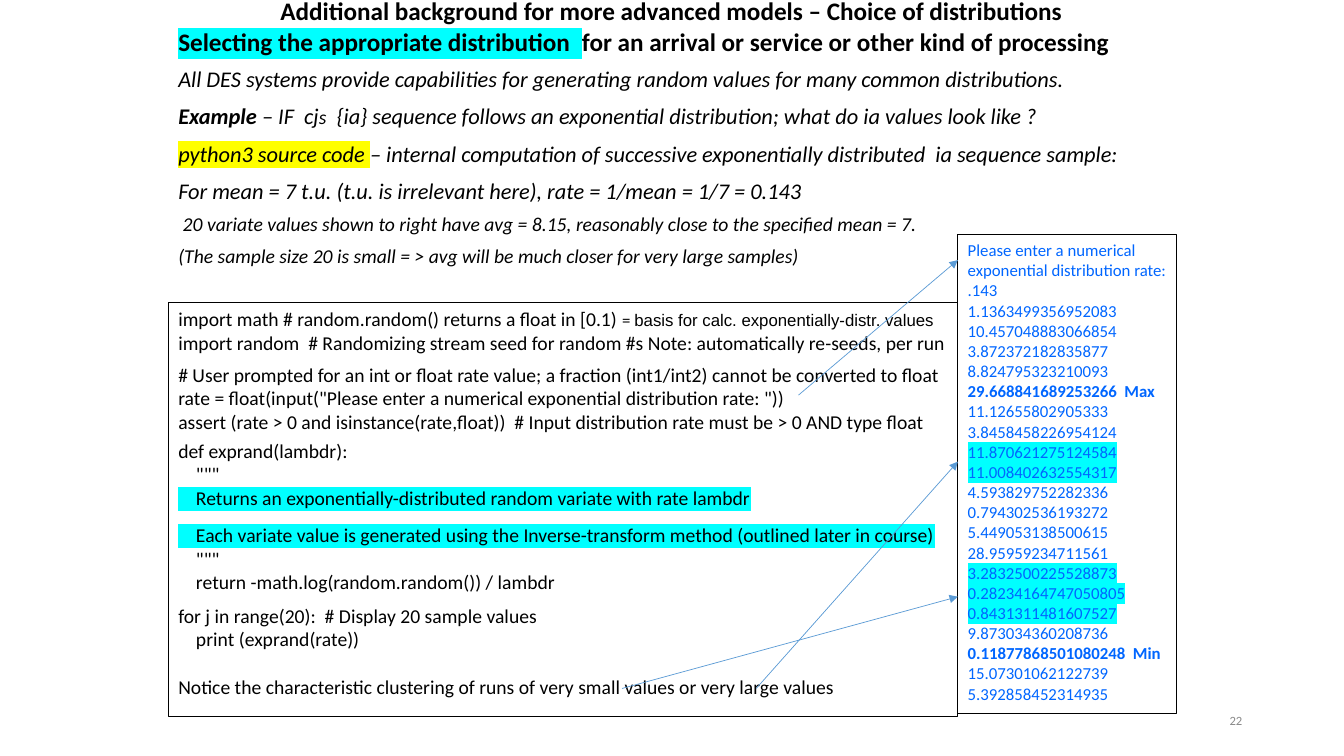
from lxml import etree
from pptx import Presentation
from pptx.dml.color import RGBColor
from pptx.enum.shapes import MSO_CONNECTOR, MSO_SHAPE
from pptx.enum.text import MSO_ANCHOR, PP_ALIGN
from pptx.oxml.ns import qn
from pptx.util import Inches, Pt

LEFT, CENTER, RIGHT = PP_ALIGN.LEFT, PP_ALIGN.CENTER, PP_ALIGN.RIGHT
TOP, MIDDLE = MSO_ANCHOR.TOP, MSO_ANCHOR.MIDDLE
RECTANGLE, STRAIGHT = MSO_SHAPE.RECTANGLE, MSO_CONNECTOR.STRAIGHT

COLORS = {
    "black": "000000",
    "output": "0066FF",
    "arrow": "5B9BD5",
    "number": "898989",
    "cyan": "00FFFF",
    "yellow": "FFFF00",
}


def rgb(name):
    return RGBColor.from_string(COLORS[name])


def add_span(para, text, size=14, font="Calibri", color="black",
             bold=False, italic=False, highlight=None):
    """Append one formatted run to a paragraph."""
    span = para.add_run()
    span.text = text
    span.font.size, span.font.name = Pt(size), font
    span.font.bold, span.font.italic = bold, italic
    span.font.color.rgb = rgb(color)
    if highlight:
        mark = etree.Element(qn("a:highlight"))
        etree.SubElement(mark, qn("a:srgbClr"), val=COLORS[highlight])
        span.font.fill._xPr.find(qn("a:solidFill")).addnext(mark)


def line(*spans, before=0, spacing=1.0, **style):
    """Describe one paragraph; a span is a text or a (text, format) pair."""
    pairs = [(span, {}) if isinstance(span, str) else span for span in spans]
    return {"spans": [(text, {**style, **own}) for text, own in pairs],
            "before": before, "spacing": spacing}


class SlideBuilder:
    def __init__(self, slide):
        self.slide = slide

    def fill_text(self, box, lines, align=LEFT, anchor=TOP, inset=0.05, **style):
        frame = box.text_frame
        frame.word_wrap = True
        frame.vertical_anchor = anchor
        frame.margin_top = frame.margin_bottom = Inches(inset)
        for index, item in enumerate(lines):
            para = frame.add_paragraph() if index else frame.paragraphs[0]
            para.alignment = align
            para.line_spacing = item["spacing"]
            para.space_before = Pt(item["before"])
            for text, own in item["spans"]:
                add_span(para, text, **{**style, **own})

    def text(self, place, lines, **style):
        box = self.slide.shapes.add_textbox(*map(Inches, place))
        self.fill_text(box, lines, **style)

    def frame(self, place, lines, **style):
        box = self.slide.shapes.add_shape(RECTANGLE, *map(Inches, place))
        box.shadow.inherit = False
        box.fill.background()
        box.line.color.rgb = rgb("black")
        box.line.width = Pt(0.75)
        self.fill_text(box, lines, **style)

    def arrow(self, start, end):
        arrow = self.slide.shapes.add_connector(
            STRAIGHT, *map(Inches, (*start, *end)))
        arrow.line.color.rgb = rgb("arrow")
        arrow.line.width = Pt(0.5)
        etree.SubElement(arrow.line._get_or_add_ln(), qn("a:tailEnd"), type="triangle")
        etree.SubElement(arrow._element.spPr, qn("a:effectLst"))


INTRO = [
    line(("Selecting the appropriate distribution  ", {"highlight": "cyan"}),
         "for an arrival or service or other kind of processing",
         spacing=0.9, size=18, bold=True, italic=False),
    line("All DES systems provide capabilities for generating random values "
         "for many common distributions.", before=7.5, spacing=0.9),
    line(("Example", {"bold": True}), " – IF  cj", ("s", {"size": 14}),
         "  {ia} sequence follows an exponential distribution; "
         "what do ia values look like ?", before=7.5),
    line(("python3 source code ", {"highlight": "yellow"}),
         "– internal computation of successive exponentially distributed  "
         "ia sequence sample:", before=7.5),
    line("For mean = 7 t.u. (t.u. is irrelevant here), rate = 1/mean = 1/7 = 0.143",
         before=7.5),
    line(" 20 variate values shown to right have avg = 8.15, "
         "reasonably close to the specified mean = 7.",
         before=7.5, spacing=0.9, size=14),
    line("(The sample size 20 is small = > avg will be much closer "
         "for very large samples)", before=7.5, spacing=0.9, size=14),
]

CODE = [
    line("import math # random.random() returns a float in [0.1) ",
         ("= ", {"size": 12}),
         ("basis for calc. exponentially-distr. values",
          {"size": 12, "font": "Arial"})),
    line("import random  # Randomizing stream seed for random #s "
         "Note: automatically re-seeds, per run"),
    line("# User prompted for an int or float rate value; "
         "a fraction (int1/int2) cannot be converted to float", before=6),
    line('rate = float(input("Please enter a numerical exponential '
         'distribution rate: "))'),
    line("assert (rate > 0 and isinstance(rate,float))  "
         "# Input distribution rate must be > 0 AND type float"),
    line("def exprand(lambdr):", before=3.7),
    line('    """'),
    line("    Returns an exponentially-distributed random variate with rate lambdr",
         highlight="cyan"),
    line("    Each variate value is generated using the Inverse-transform method "
         "(outlined later in course)", before=9.8, highlight="cyan"),
    line('    """'),
    line("    return -math.log(random.random()) / lambdr"),
    line("for j in range(20):  # Display 20 sample values", before=7.3),
    line("    print (exprand(rate))"),
    line("Notice the characteristic clustering of runs of very small values "
         "or very large values", before=17.1),
]

CLUSTER, EXTREME = {"highlight": "cyan"}, {"bold": True}
SAMPLES = [
    ("1.1363499356952083", {}),
    ("10.457048883066854", {}),
    ("3.872372182835877", {}),
    ("8.824795323210093", {}),
    ("29.668841689253266  Max", EXTREME),
    ("11.12655802905333", {}),
    ("3.8458458226954124", {}),
    ("11.870621275124584", CLUSTER),
    ("11.008402632554317", CLUSTER),
    ("4.593829752282336", {}),
    ("0.794302536193272", {}),
    ("5.449053138500615", {}),
    ("28.95959234711561", {}),
    ("3.2832500225528873", CLUSTER),
    ("0.28234164747050805", CLUSTER),
    ("0.8431311481607527", CLUSTER),
    ("9.873034360208736", {}),
    ("0.11877868501080248  Min", EXTREME),
    ("15.07301062122739", {}),
    ("5.392858452314935", {}),
]
PROMPT = "Please enter a numerical exponential distribution rate: .143"
ARROWS = [
    ((7.92, 3.92), (9.5, 2.58)),  # rate prompt
    ((6.17, 6.83), (9.5, 5.92)),  # small values
    ((7.5, 6.83), (9.5, 4.58)),  # large values
]


def main():
    deck = Presentation()
    deck.slide_width, deck.slide_height = Inches(13.33), Inches(7.5)
    page = SlideBuilder(deck.slides.add_slide(deck.slide_layouts[6]))

    # Title, introduction and slide number
    page.text((2.35, 0, 8.62, 0.25),
              [line("Additional background for more advanced models – "
                    "Choice of distributions", spacing=0.9)],
              align=CENTER, anchor=MIDDLE, inset=0, size=18, bold=True)
    page.text((1.67, 0.25, 10, 7.42), INTRO, size=16, italic=True)
    page.text((9.42, 6.95, 3, 0.4), [line("22")],
              align=RIGHT, anchor=MIDDLE, size=9, color="number")

    # Source code and its output
    page.frame((1.67, 3, 7.83, 4.11), CODE)
    page.frame((9.5, 2.33, 2.17, 4.75),
               [line(PROMPT)] + [line(sample) for sample in SAMPLES],
               size=12, color="output")

    # Arrows from code to output
    for start, end in ARROWS:
        page.arrow(start, end)

    deck.save("out.pptx")


if __name__ == "__main__":
    main()
